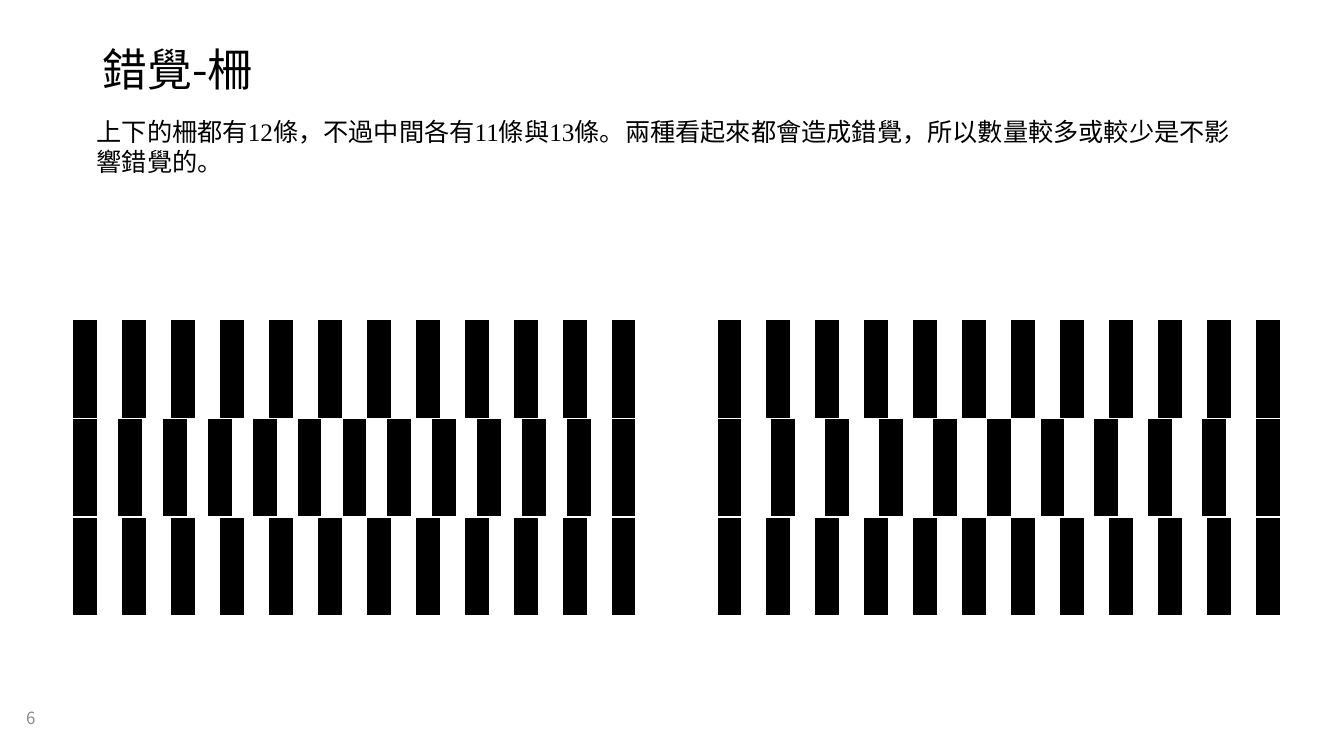
from dataclasses import dataclass

from lxml.etree import SubElement
from pptx import Presentation
from pptx.dml.color import RGBColor
from pptx.enum.shapes import MSO_SHAPE as Shape
from pptx.enum.text import MSO_ANCHOR as Anchor
from pptx.oxml.ns import qn
from pptx.util import Inches, Pt


@dataclass(frozen=True)
class Theme:
    black: str = "000000"
    white: str = "FFFFFF"
    gray: str = "8C8C8C"
    sans: str = "Noto Sans CJK SC"
    serif: str = "Times New Roman"
    title_size: int = 32
    body_size: int = 18
    number_size: int = 12
    outline: int = 1


def write_text(frame, text, *, size, color, font, asian_font,
               anchor=Anchor.TOP, line_spacing=None):
    """Put one formatted paragraph into a text frame."""
    frame.word_wrap = True
    frame.vertical_anchor = anchor
    paragraph = frame.paragraphs[0]
    paragraph.line_spacing = line_spacing
    run = paragraph.add_run()
    run.text = text
    run.font.size = Pt(size)
    run.font.name = font
    run.font.color.rgb = RGBColor.from_string(color)
    # Chinese characters take their own typeface
    SubElement(run.font._element, qn("a:ea")).set("typeface", asian_font)


class SlideBuilder:
    def __init__(self, slide, theme):
        self.slide = slide
        self.theme = theme

    def text(self, text, left, top, width, height, **text_format):
        box = self.slide.shapes.add_textbox(
            Inches(left), Inches(top), Inches(width), Inches(height))
        text_format = {"color": self.theme.black, "font": self.theme.sans,
                       "asian_font": self.theme.sans, **text_format}
        write_text(box.text_frame, text, **text_format)

    def bar(self, shapes, left, top, width, height):
        bar = shapes.add_shape(Shape.RECTANGLE, Inches(left), Inches(top),
                               Inches(width), Inches(height))
        bar.shadow.inherit = False
        bar.fill.solid()
        bar.fill.fore_color.rgb = RGBColor.from_string(self.theme.black)
        bar.line.color.rgb = RGBColor.from_string(self.theme.white)
        bar.line.width = Pt(self.theme.outline)

    def fence(self, left, top, row_counts, span=5.34, bar_width=0.25, bar_height=0.98):
        """Group stacked rows; each row spreads its bars over the same span."""
        group = self.slide.shapes.add_group_shape()
        for row, count in enumerate(row_counts):
            step = span / (count - 1)
            for column in range(count):
                self.bar(group.shapes, left + column * step,
                         top + row * bar_height, bar_width, bar_height)


def main():
    presentation = Presentation()
    presentation.slide_width = Inches(13.33)
    presentation.slide_height = Inches(7.5)
    theme = Theme()
    slide = presentation.slides.add_slide(presentation.slide_layouts[6])
    builder = SlideBuilder(slide, theme)

    # Title, page number and explanation
    builder.text("錯覺-柵", 0.92, 0.4, 11.5, 0.62, size=theme.title_size,
                 anchor=Anchor.MIDDLE, line_spacing=0.9)
    builder.text("6", 0.16, 6.93, 0.67, 0.39, size=theme.number_size,
                 color=theme.gray, anchor=Anchor.MIDDLE)
    builder.text("上下的柵都有12條，不過中間各有11條與13條。"
                 "兩種看起來都會造成錯覺，所以數量較多或較少是不影響錯覺的。",
                 0.86, 1.1, 11.49, 0.71, size=theme.body_size, font=theme.serif)

    # Two fences that differ only in the middle row
    for left, middle_count in ((0.72, 13), (7.11, 11)):
        builder.fence(left, 3.17, (12, middle_count, 12))

    presentation.save("out.pptx")


if __name__ == "__main__":
    main()
